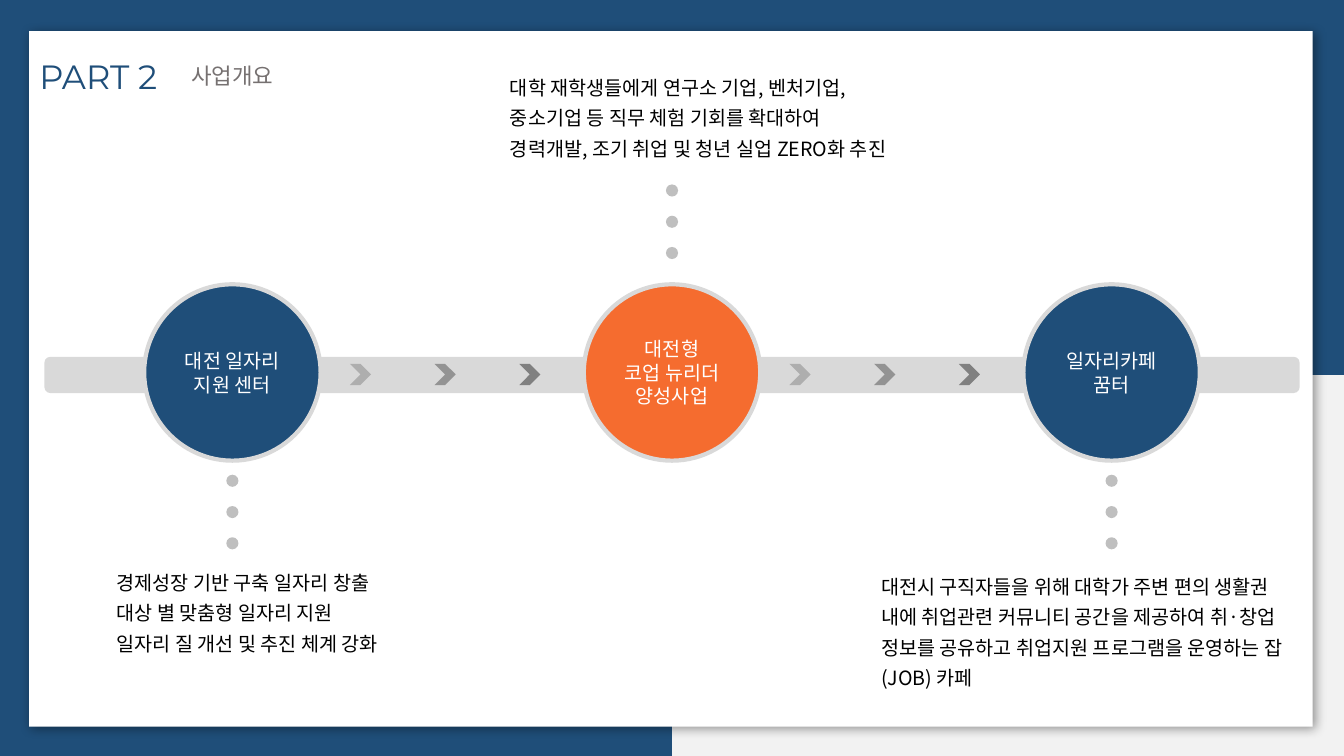
from lxml import etree
from pptx import Presentation
from pptx.dml.color import RGBColor
from pptx.enum.shapes import MSO_SHAPE
from pptx.enum.text import MSO_ANCHOR, PP_ALIGN
from pptx.oxml.ns import qn
from pptx.util import Inches, Pt

RECTANGLE, ROUNDED = MSO_SHAPE.RECTANGLE, MSO_SHAPE.ROUNDED_RECTANGLE
OVAL, CHEVRON = MSO_SHAPE.OVAL, MSO_SHAPE.CHEVRON
TOP, MIDDLE = MSO_ANCHOR.TOP, MSO_ANCHOR.MIDDLE
LEFT, CENTER = PP_ALIGN.LEFT, PP_ALIGN.CENTER

NAVY, ORANGE, WHITE, BLACK = "1F4E79", "F56C2F", "FFFFFF", "000000"
PALE, SILVER, DOT_GRAY = "F2F2F2", "D9D9D9", "BFBFBF"
ARROW_GRAY, LABEL_GRAY = "808080", "767171"
LATIN, KOREAN = "Montserrat", "Noto Sans CJK KR"

CIRCLE = 1.75
STEP_GAP = 4.36
STEPS = [
    {"label": ["대전 일자리 지원 센터"], "fill": NAVY, "dots_top": 4.71,
     "box": (1.06, 5.54, 3.2, 1.02),
     "lines": ["경제성장 기반 구축 일자리 창출", "대상 별 맞춤형 일자리 지원",
               "일자리 질 개선 및 추진 체계 강화"]},
    {"label": ["대전형", "코업 뉴리더 양성사업"], "fill": ORANGE, "dots_top": 1.83,
     "box": (4.96, 0.63, 4.26, 1.02),
     "lines": ["대학 재학생들에게 연구소 기업, 벤처기업,",
               "중소기업 등 직무 체험 기회를 확대하여",
               "경력개발, 조기 취업 및 청년 실업 ZERO화 추진"]},
    {"label": ["일자리카페", "꿈터"], "fill": NAVY, "dots_top": 4.71,
     "box": (8.64, 5.58, 4.38, 1.33),
     "lines": ["대전시 구직자들을 위해 대학가 주변 편의 생활권 내에 취업관련 "
               "커뮤니티 공간을 제공하여 취·창업 정보를 공유하고 취업지원 "
               "프로그램을 운영하는 잡(JOB) 카페"]},
]


def rgb(value):
    """Turn a hex string into a colour."""
    return RGBColor.from_string(value)


def add_block(slide, kind, box, fill, alpha=100):
    """Add a flat preset shape, optionally translucent."""
    shape = slide.shapes.add_shape(kind, *map(Inches, box))
    shape.shadow.inherit = False
    shape.fill.solid()
    shape.fill.fore_color.rgb = rgb(fill)
    shape.line.fill.background()
    if alpha < 100:
        color = shape.element.spPr.find(qn("a:solidFill")).find(qn("a:srgbClr"))
        etree.SubElement(color, qn("a:alpha"), val=str(alpha * 1000))
    return shape


def write(frame, lines, size, color, name=KOREAN, align=LEFT, anchor=TOP, spacing=1.0):
    """Fill a text frame with one paragraph per line."""
    frame.word_wrap = True
    frame.vertical_anchor = anchor
    for index, line in enumerate(lines):
        para = frame.paragraphs[0] if index == 0 else frame.add_paragraph()
        para.text = line
        para.alignment = align
        para.line_spacing = spacing
        para.font.size = Pt(size)
        para.font.name = name
        para.font.color.rgb = rgb(color)
        defaults = para._p.pPr.find(qn("a:defRPr"))
        etree.SubElement(defaults, qn("a:ea"), typeface=name)


def add_text(slide, box, lines, size, color, **style):
    """Add a wrapped text box."""
    text_box = slide.shapes.add_textbox(*map(Inches, box))
    write(text_box.text_frame, lines, size, color, **style)


def add_shadow(shape):
    """Give a shape a soft shadow towards the lower right."""
    effects = shape.element.spPr.find(qn("a:effectLst"))
    shadow = etree.SubElement(effects, qn("a:outerShdw"), blurRad=str(Pt(8)),
                              dist=str(Pt(3)), dir="2700000", algn="tl",
                              rotWithShape="0")
    color = etree.SubElement(shadow, qn("a:srgbClr"), val=BLACK)
    etree.SubElement(color, qn("a:alpha"), val="40000")


def add_backdrop(slide, width, height):
    """Draw the two-tone frame and the white sheet on it."""
    half = 3.72
    add_block(slide, RECTANGLE, (0, half, width, height - half), PALE)
    add_block(slide, RECTANGLE, (0, 0, width, half), NAVY)
    add_block(slide, RECTANGLE, (0, 0, width / 2, height), NAVY)
    add_shadow(add_block(slide, RECTANGLE, (0.29, 0.31, 12.73, 6.9), WHITE))


def add_heading(slide, left, top):
    """Place the title and its subject label above the backdrop."""
    title = slide.shapes.title
    title.element.getparent().append(title.element)
    title.left, title.top = Inches(left), Inches(top)
    title.width, title.height = Inches(1.75), Inches(0.5)
    write(title.text_frame, ["PART 2"], 24, NAVY, name=LATIN)
    add_text(slide, (left + 0.44, top + 0.07, 3.15, 0.37), ["사업개요"], 16,
             LABEL_GRAY, align=CENTER)


def add_step(slide, left, top, step):
    """Draw one circle with its dotted lead and description."""
    circle = add_block(slide, OVAL, (left, top, CIRCLE, CIRCLE), step["fill"])
    circle.line.color.rgb = rgb(SILVER)
    circle.line.width = Pt(3)
    write(circle.text_frame, step["label"], 14, WHITE, align=CENTER, anchor=MIDDLE)
    dot = 0.12
    dot_left = left + (CIRCLE - dot) / 2
    for index in range(3):
        dot_top = step["dots_top"] + 0.31 * index
        add_block(slide, OVAL, (dot_left, dot_top, dot, dot), DOT_GRAY)
    add_text(slide, step["box"], step["lines"], 14, BLACK, spacing=1.3)


def add_arrows(slide, left, top):
    """Draw three chevrons that grow darker to the right."""
    for index, alpha in enumerate((48, 78, 100)):
        box = (left + 0.84 * index, top, 0.21, 0.21)
        add_block(slide, CHEVRON, box, ARROW_GRAY, alpha)


def add_timeline(slide, left, top):
    """Draw the bar with its steps and the arrows between them."""
    add_block(slide, ROUNDED, (left, top, 12.45, 0.36), SILVER)
    for index, step in enumerate(STEPS):
        step_left = left + 0.99 + STEP_GAP * index
        add_step(slide, step_left, top - 0.72, step)
        if index < len(STEPS) - 1:
            add_arrows(slide, step_left + 2.04, top + 0.07)


def main():
    """Build the deck and save it."""
    width, height = 13.33, 7.5
    deck = Presentation()
    deck.slide_width, deck.slide_height = Inches(width), Inches(height)
    slide = deck.slides.add_slide(deck.slide_layouts[5])
    add_backdrop(slide, width, height)
    add_heading(slide, 0.29, 0.5)
    add_timeline(slide, 0.44, 3.54)
    deck.save("out.pptx")


if __name__ == "__main__":
    main()
